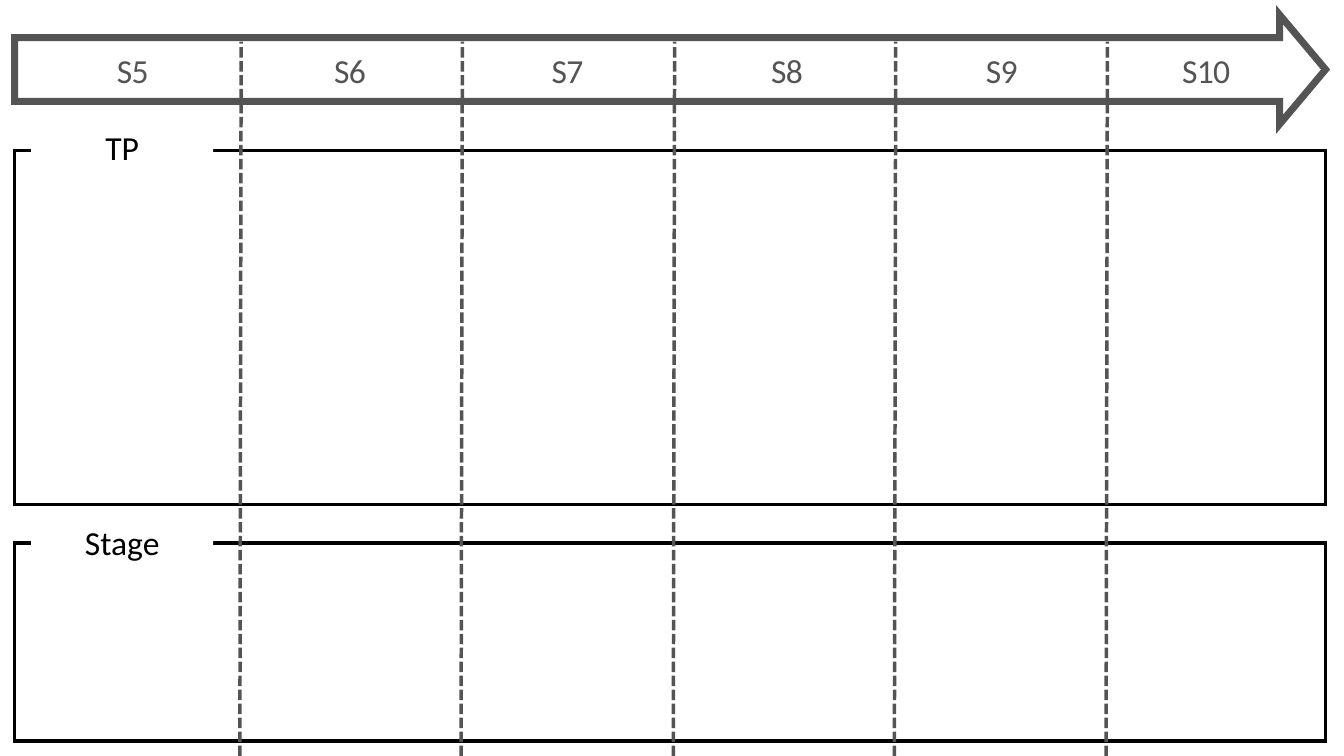
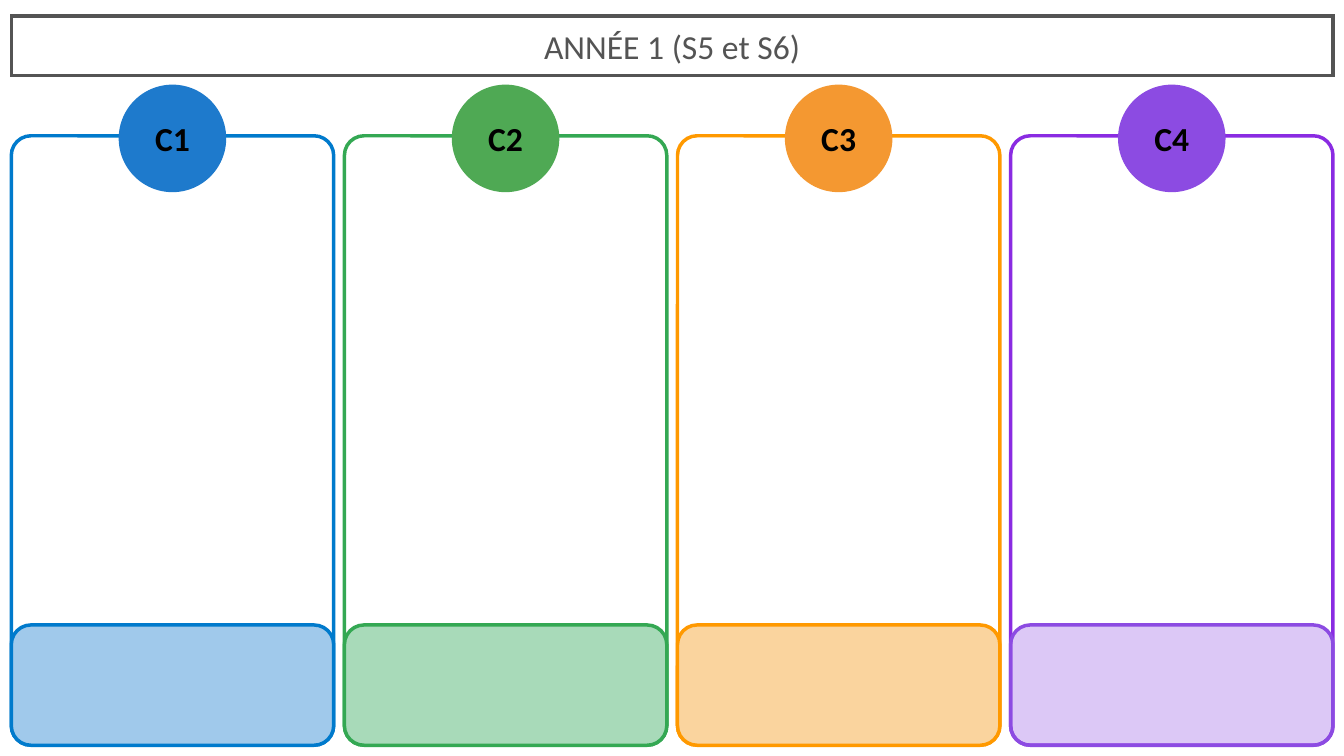
from dataclasses import dataclass
from lxml import etree
from pptx import Presentation
from pptx import util as u
from pptx.dml.color import RGBColor
from pptx.enum import dml, shapes, text
from pptx.oxml.ns import qn


@dataclass(frozen=True)
class Theme:
    font: str = "Calibri"
    size: float = 36
    spacing: float = 46.8
    grey: str = "545454"
    black: str = "000000"
    white: str = "FFFFFF"
    line: float = 3.75
    arrow_line: float = 7.5
    circle_line: float = 2.25


T = Theme()
MSO = shapes.MSO_SHAPE


def add_shape(s, kind, left, top, width, height, fill=None, line=None, weight=T.line):
    sp = s.shapes.add_shape(kind, u.Pt(left), u.Pt(top), u.Pt(width), u.Pt(height))
    sp.shadow.inherit = False
    if fill:
        sp.fill.solid()
        sp.fill.fore_color.rgb = RGBColor.from_string(fill)
    else:
        sp.fill.background()
    if line:
        sp.line.color.rgb = RGBColor.from_string(line)
        sp.line.width = u.Pt(weight)
        etree.SubElement(sp.line._get_or_add_ln(), qn("a:miter"), lim="800000")
    else:
        sp.line.fill.background()
    return sp


def write(sp, words, color, bold=False, anchor=text.MSO_ANCHOR.MIDDLE, inset=None):
    tf = sp.text_frame
    tf.word_wrap = True
    tf.vertical_anchor = anchor
    if inset is not None:
        tf.margin_left = tf.margin_top = tf.margin_right = tf.margin_bottom = u.Pt(inset)
    p = tf.paragraphs[0]
    p.text = words
    p.alignment = text.PP_ALIGN.CENTER
    p.font.name, p.font.size, p.font.bold = T.font, u.Pt(T.size), bold
    p.font.color.rgb = RGBColor.from_string(color)
    return p


prs = Presentation()
prs.slide_width, prs.slide_height = u.Pt(1440), u.Pt(810)
blank = prs.slide_layouts[6]

# Slide 1: semester timeline
s = prs.slides.add_slide(blank)
left, width = 15.8, 1404.5

# Timeline arrow
arrow = add_shape(s, MSO.RIGHT_ARROW, left, 15.8, width, 117.4, line=T.grey, weight=T.arrow_line)
arrow.adjustments[0] = 0.58
arrow.adjustments[1] = 0.42

# Panels
panels = [("Stage", 581.8, 212.4, text.MSO_ANCHOR.TOP),
          ("TP", 161.5, 379, text.MSO_ANCHOR.MIDDLE)]
for name, top, height, anchor in panels:
    add_shape(s, MSO.RECTANGLE, left, top, width, height, line=T.black)

# Semester dividers
for x in (257, 494, 721.4, 958.3, 1185.1):
    divider = s.shapes.add_connector(shapes.MSO_CONNECTOR.STRAIGHT,
                                     u.Pt(x), u.Pt(810), u.Pt(x + 1.4), u.Pt(44.6))
    divider.line.color.rgb = RGBColor.from_string(T.grey)
    divider.line.width = u.Pt(T.line)
    divider.line.dash_style = dml.MSO_LINE.SQUARE_DOT
    etree.SubElement(divider._element.spPr, qn("a:effectLst"))

# Semester names
semesters = [(28.1, 228.2), (256.3, 237.6), (493.9, 228.2),
             (727.2, 231.8), (959.8, 226.8), (1185.8, 213.1)]
for number, (x, w) in enumerate(semesters, 5):
    box = s.shapes.add_textbox(u.Pt(x), u.Pt(50.4), u.Pt(w), u.Pt(45.4))
    p = write(box, f"S{number}", T.grey, anchor=text.MSO_ANCHOR.TOP, inset=0)
    p.line_spacing = u.Pt(T.spacing)
    p.runs[0]._r.get_or_add_rPr().set("spc", "-70")

# Panel names, set over the top edges
for name, top, height, anchor in panels:
    label = add_shape(s, MSO.RECTANGLE, 33.5, top - 26.4, 194.8, 44, fill=T.white)
    write(label, name, T.black, anchor=anchor)

# Slide 2: competences of the first year
s = prs.slides.add_slide(blank)
left, width, pitch = 12.1, 345.4, 356.9
radius, diameter = 21, 113

# Year band
band = add_shape(s, MSO.RECTANGLE, left, 17, 1416, 63.8, line=T.grey)
write(band, "ANNÉE 1 (S5 et S6)", T.grey)

# Columns: outline, circle, footer fill, footer outline, footer opacity in %
columns = [("007ACC", "1E7ACC", "A0C9EB", "007ACC", 100),
           ("34A853", "4FA954", "A8DAB9", "34A853", 100),
           ("FF9900", "F49831", "FAD49E", "FF9900", 100),
           ("8A2BE2", "8C4BE2", "8C4BE2", "8C4BE2", 30)]
for i, (outline, disc, tint, edge, opacity) in enumerate(columns):
    x = left + i * pitch
    column = add_shape(s, MSO.ROUNDED_RECTANGLE, x, 145.5, width, 653, line=outline)
    column.adjustments[0] = radius / width

    circle = add_shape(s, MSO.OVAL, x + (width - diameter) / 2, 91.8, diameter, diameter,
                       fill=disc, line=disc, weight=T.circle_line)
    write(circle, f"C{i + 1}", T.black, bold=True, inset=0)

    footer = add_shape(s, MSO.ROUNDED_RECTANGLE, x, 669.6, width, 128.9, fill=tint, line=edge)
    footer.adjustments[0] = radius / 128.9
    if opacity < 100:
        color = footer._element.spPr.find(qn("a:solidFill")).find(qn("a:srgbClr"))
        etree.SubElement(color, qn("a:alpha"), val=str(opacity * 1000))

prs.save("out.pptx")
